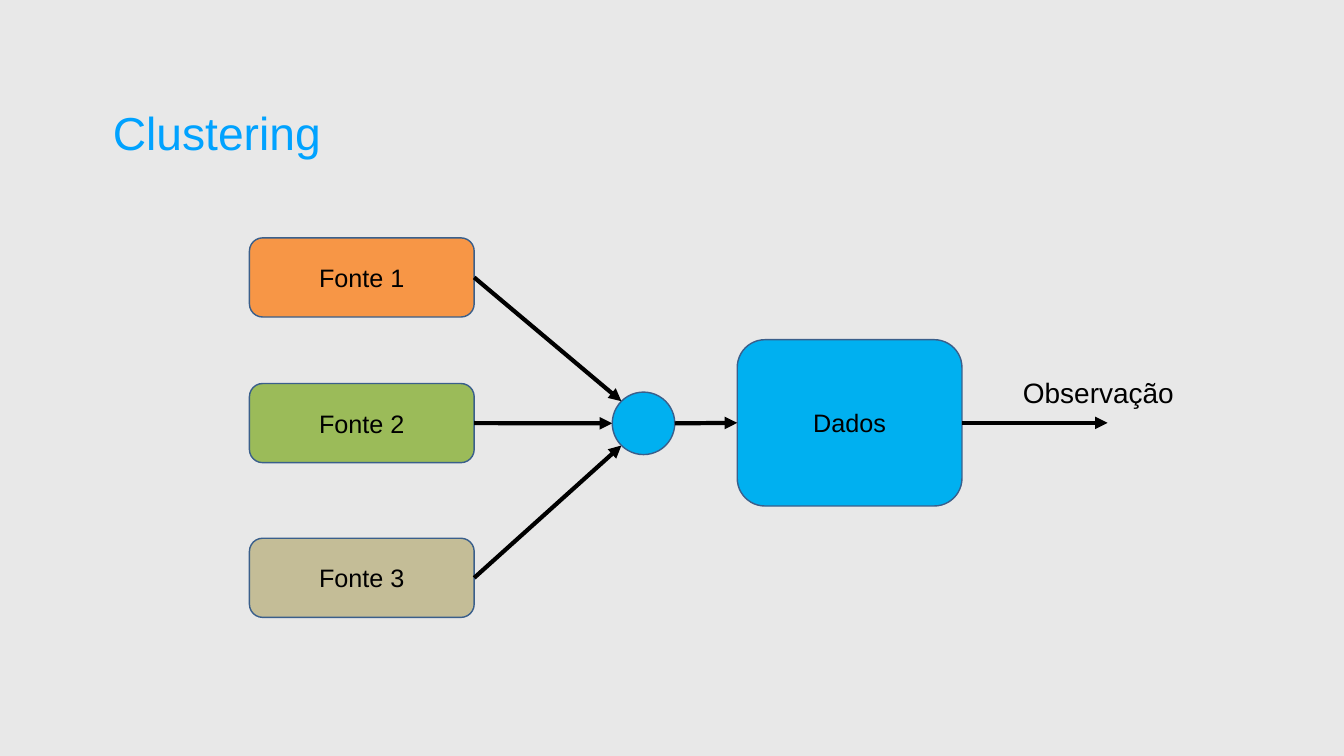
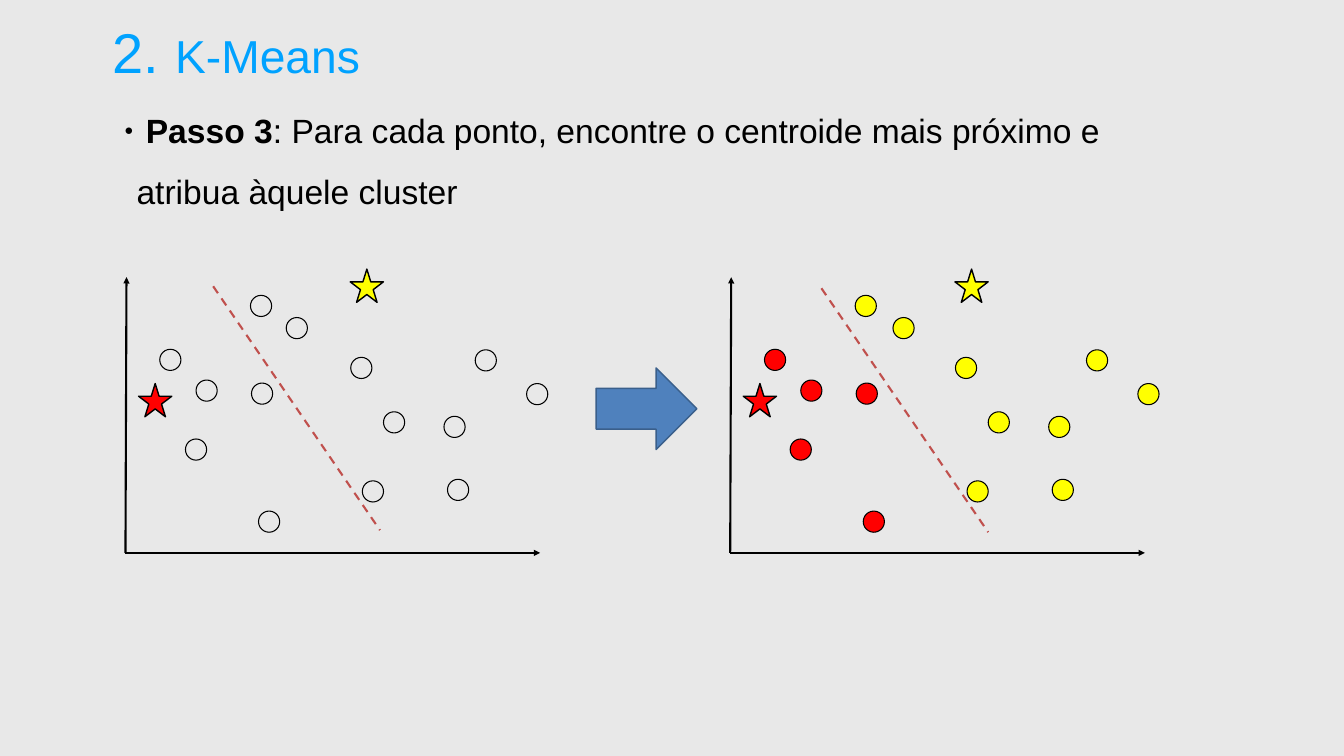
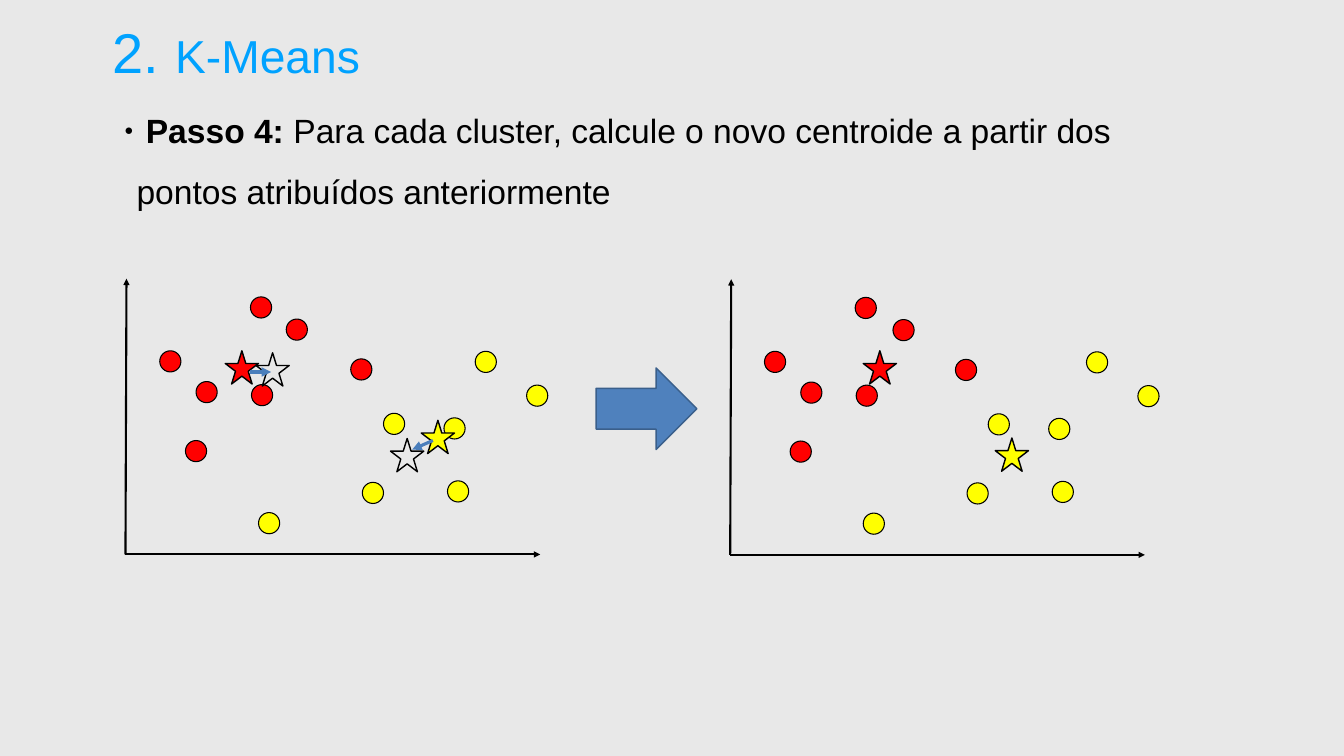
import pptx
import pptx.util
import pptx.dml.color
import pptx.enum.dml
import pptx.enum.shapes
import pptx.enum.text
import pptx.oxml.ns
from lxml import etree

RGBColor = pptx.dml.color.RGBColor
Shapes = pptx.enum.shapes.MSO_SHAPE
Anchor = pptx.enum.text.MSO_ANCHOR
Align = pptx.enum.text.PP_ALIGN
qn = pptx.oxml.ns.qn

PX = 9144  # EMU in one px, 100 px to the inch
FONT = "Arial"

BACKGROUND = RGBColor(0xE8, 0xE8, 0xE8)
TITLE_BLUE = RGBColor(0x00, 0xA2, 0xFF)
BLACK = RGBColor(0x00, 0x00, 0x00)
OUTLINE = RGBColor(0x3A, 0x5F, 0x8B)
ORANGE = RGBColor(0xF7, 0x96, 0x46)
GREEN = RGBColor(0x9B, 0xBB, 0x59)
TAN = RGBColor(0xC4, 0xBD, 0x97)
DATA_BLUE = RGBColor(0x00, 0xB0, 0xF0)
ARROW_BLUE = RGBColor(0x4F, 0x81, 0xBD)
MOVE_BLUE = RGBColor(0x4A, 0x7E, 0xBB)
BOUNDARY_RED = RGBColor(0xC0, 0x50, 0x4D)
CLUSTER_COLORS = {
    "R": RGBColor(0xFF, 0x00, 0x00),
    "Y": RGBColor(0xFF, 0xFF, 0x00),
    "-": None,
}

TITLE_BOX = (218, 30, 1561, 144)
BODY_BOX = (218, 173, 2191, 211)
AXIS_WIDTH, AXIS_HEIGHT = 823, 547
LEFT_PLOT, RIGHT_PLOT = 249, 1449
POINT_SIZE, STAR_SIZE = 42, 66

# x and y from the plot corner, then the extra x in the right-hand plot
POINTS = [
    (140, 204, 0), (68, 143, 0), (250, 210, 0), (119, 321, 0), (264, 464, 0),
    (639, 401, 0), (319, 80, 4), (512, 267, 0), (470, 404, 0), (694, 144, 13),
    (632, 276, 0), (796, 211, 13), (248, 36, 0), (447, 159, 0),
]
UNASSIGNED = "-" * len(POINTS)
STEP_3_CLUSTERS = "RRRRRYYYYYYYYY"
STEP_4_CLUSTERS = "RRRRYYRYYYYYRR"


def px(*lengths):
    return [pptx.util.Emu(length * PX) for length in lengths]


def place(shape, box):
    shape.left, shape.top, shape.width, shape.height = px(*box)


def add_text(paragraph, text, size=36, color=BLACK, bold=False):
    run = paragraph.add_run()
    run.text = text
    run.font.name = FONT
    run.font.size = pptx.util.Pt(size)
    run.font.bold = bold
    run.font.color.rgb = color


def prepare_frame(frame, margin, anchor):
    frame.word_wrap = True
    frame.auto_size = pptx.enum.text.MSO_AUTO_SIZE.NONE
    frame.vertical_anchor = anchor
    frame.margin_left = frame.margin_right = px(margin[0])[0]
    frame.margin_top = frame.margin_bottom = px(margin[1])[0]
    return frame.paragraphs[0]


def add_figure(slide, kind, box, fill, outline=OUTLINE, width=2, text=None):
    shape = slide.shapes.add_shape(kind, *px(*box))
    shape.shadow.inherit = False
    if fill is None:
        shape.fill.background()
    else:
        shape.fill.solid()
        shape.fill.fore_color.rgb = fill
    shape.line.color.rgb = outline
    shape.line.width = pptx.util.Pt(width)
    if text:
        paragraph = prepare_frame(shape.text_frame, (10, 5), Anchor.MIDDLE)
        paragraph.alignment = Align.CENTER
        add_text(paragraph, text)
    return shape


def add_line(slide, start, end, color=BLACK, width=3, arrow=True, dashed=False):
    connector = slide.shapes.add_connector(
        pptx.enum.shapes.MSO_CONNECTOR.STRAIGHT, *px(*start, *end))
    connector.line.color.rgb = color
    connector.line.width = pptx.util.Pt(width)
    if dashed:
        connector.line.dash_style = pptx.enum.dml.MSO_LINE.DASH
    properties = connector.element.spPr
    if arrow:
        etree.SubElement(properties.find(qn("a:ln")), qn("a:tailEnd"), type="triangle")
    etree.SubElement(properties, qn("a:effectLst"))
    return connector


def add_title(slide, box, *runs):
    """Fill the title placeholder with (text, size) runs."""
    title = slide.shapes.title
    place(title, box)
    paragraph = prepare_frame(title.text_frame, (6, 6), Anchor.MIDDLE)
    paragraph.alignment = Align.LEFT
    for text, size in runs:
        add_text(paragraph, text, size=size, color=TITLE_BLUE)


def add_bullet(paragraph):
    properties = paragraph._p.get_or_add_pPr()
    left, indent = px(47, -24)
    properties.set("marL", str(left))
    properties.set("indent", str(indent))
    color = etree.SubElement(properties, qn("a:buClr"))
    etree.SubElement(color, qn("a:srgbClr"), val=str(BLACK))
    etree.SubElement(properties, qn("a:buSzPct"), val="45000")
    etree.SubElement(properties, qn("a:buFont"), typeface=FONT)
    etree.SubElement(properties, qn("a:buChar"), char="●")


def add_step_text(slide, step, description):
    body = slide.placeholders[1]
    place(body, BODY_BOX)
    paragraph = prepare_frame(body.text_frame, (6, 6), Anchor.TOP)
    paragraph.level = 1
    add_bullet(paragraph)
    paragraph.alignment = Align.LEFT
    paragraph.line_spacing = 1.5
    paragraph.space_before = pptx.util.Pt(0)
    add_text(paragraph, " " + step, size=48, bold=True)
    add_text(paragraph, description, size=48)


def add_plot(slide, left, top, clusters, stars, boundary=None, moves=()):
    """Draw axes, points and centroids from the plot's top left corner."""
    def at(x, y):
        return left + x, top + y

    origin = at(0, AXIS_HEIGHT)
    add_line(slide, origin, at(2, 0))
    add_line(slide, origin, at(AXIS_WIDTH, AXIS_HEIGHT))
    for (x, y, extra), cluster in zip(POINTS, clusters):
        if left == RIGHT_PLOT:
            x += extra
        add_figure(slide, Shapes.OVAL, (*at(x, y), POINT_SIZE, POINT_SIZE),
                   CLUSTER_COLORS[cluster], outline=BLACK, width=1.5)
    for x, y, cluster in stars:
        add_figure(slide, Shapes.STAR_5_POINT, (*at(x, y), STAR_SIZE, STAR_SIZE),
                   CLUSTER_COLORS[cluster], outline=BLACK)
    if boundary:
        x, y = boundary
        add_line(slide, at(x, y), at(x + 331, y + 484), color=BOUNDARY_RED,
                 arrow=False, dashed=True)
    for start, end in moves:
        add_line(slide, at(*start), at(*end), color=MOVE_BLUE, width=4.5)


def add_flow(slide, left, top):
    """Draw sources, junction, data box and observation from the top left corner."""
    box_width, source_height, data_height = 446, 157, 330
    center_x, center_y, radius = left + 782, top + 368, 62
    diagonal = round(radius * 0.71)
    data = add_figure(
        slide, Shapes.ROUNDED_RECTANGLE,
        (left + 968, center_y - 1 - data_height // 2, box_width, data_height),
        DATA_BLUE, text="Dados")
    sources = [
        ("Fonte 1", 0, ORANGE, (-diagonal, -diagonal)),
        ("Fonte 2", 289, GREEN, (-radius, 0)),
        ("Fonte 3", 596, TAN, (-diagonal, diagonal)),
    ]
    for name, offset, color, (dx, dy) in sources:
        source = add_figure(slide, Shapes.ROUNDED_RECTANGLE,
                            (left, top + offset, box_width, source_height),
                            color, text=name)
        arrow = add_line(slide, (left + box_width, top + offset),
                         (center_x + dx, center_y + dy), width=6)
        arrow.begin_connect(source, 3)
    add_figure(slide, Shapes.OVAL,
               (center_x - radius, center_y - radius, 2 * radius, 2 * radius), DATA_BLUE)
    into_data = add_line(slide, (center_x + radius, center_y),
                         (left + 968, center_y), width=6)
    into_data.end_connect(data, 1)
    out_of_data = add_line(slide, (left + 1414, center_y),
                           (left + 1703, center_y - 1), width=6)
    out_of_data.begin_connect(data, 3)
    label = slide.shapes.add_textbox(*px(left + 1525, top + 268, 357, 77))
    add_text(prepare_frame(label.text_frame, (10, 5), Anchor.TOP), "Observação", size=40)


def build_clustering(presentation):
    slide = presentation.slides.add_slide(presentation.slide_layouts[5])
    add_title(slide, (218, 201, 1561, 121), ("Clustering", 66))
    add_flow(slide, 495, 472)


def build_step(presentation, step, description, left_plot, right_plot):
    """Add a K-Means slide with the plots before and after one step."""
    slide = presentation.slides.add_slide(presentation.slide_layouts[1])
    add_title(slide, TITLE_BOX, ("2. ", 80), ("K-Means", 66))
    add_step_text(slide, step, description)
    add_plot(slide, LEFT_PLOT, **left_plot)
    add_plot(slide, RIGHT_PLOT, **right_plot)
    add_figure(slide, Shapes.RIGHT_ARROW, (1183, 730, 200, 162), ARROW_BLUE)


def main():
    presentation = pptx.Presentation()
    presentation.slide_width, presentation.slide_height = px(2667, 1500)
    background = presentation.slide_master.background.fill
    background.solid()
    background.fore_color.rgb = BACKGROUND

    build_clustering(presentation)
    first_stars = [(26, 211, "R"), (446, -16, "Y")]
    build_step(
        presentation, "Passo 3",
        ": Para cada ponto, encontre o centroide mais próximo e atribua àquele cluster",
        dict(top=550, clusters=UNASSIGNED, stars=first_stars, boundary=(174, 18)),
        dict(top=550, clusters=STEP_3_CLUSTERS, stars=first_stars, boundary=(181, 22)))
    build_step(
        presentation, "Passo 4: ",
        "Para cada cluster, calcule o novo centroide a partir dos pontos "
        "atribuídos anteriormente",
        dict(top=553, clusters=STEP_4_CLUSTERS,
             stars=[(198, 143, "R"), (587, 281, "Y"), (526, 317, "-"), (259, 147, "-")],
             moves=[((248, 185), (289, 185)), ((610, 321), (569, 339))]),
        dict(top=554, clusters=STEP_4_CLUSTERS,
             stars=[(264, 142, "R"), (526, 315, "Y")]))
    presentation.save("out.pptx")


if __name__ == "__main__":
    main()
